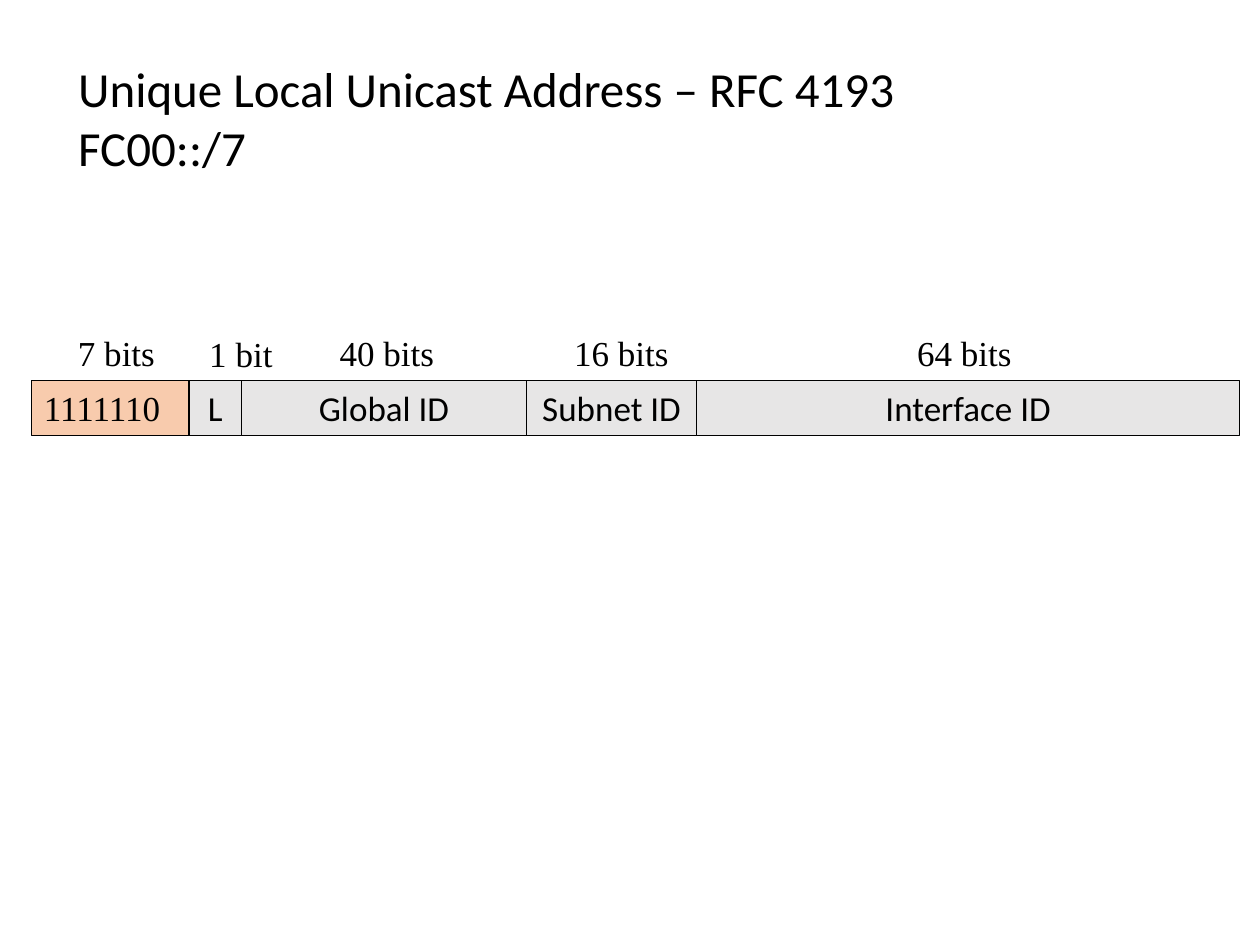
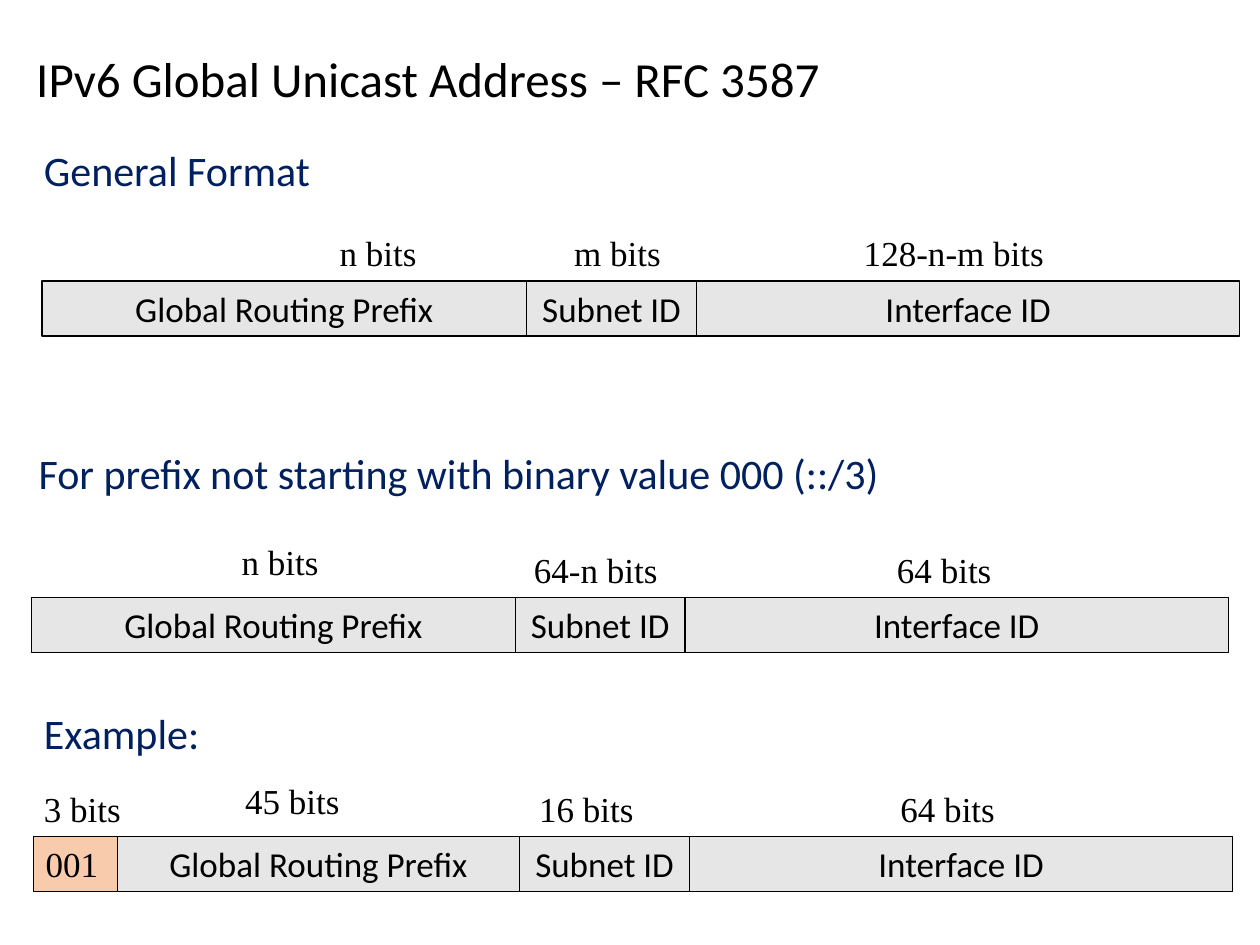
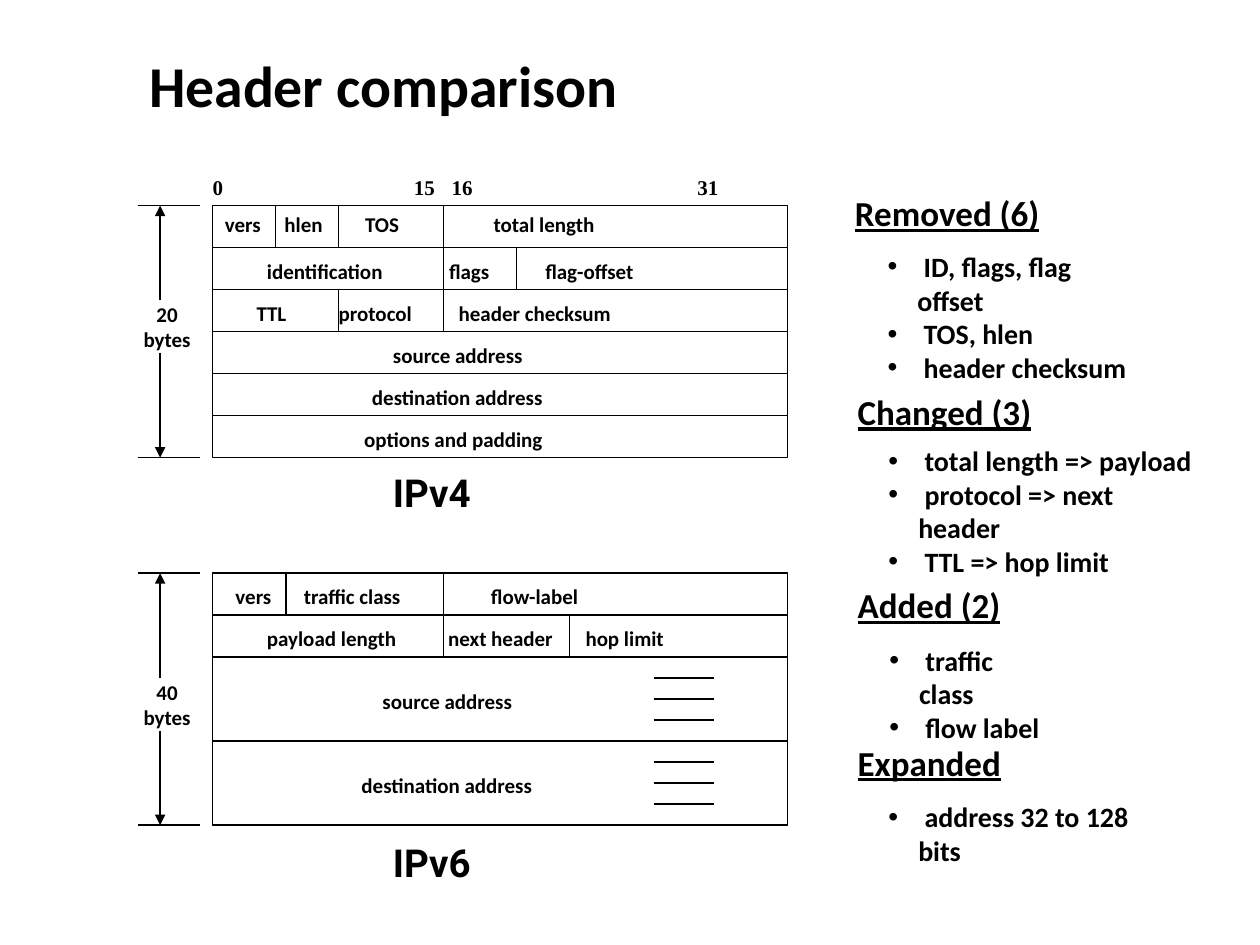
from lxml.etree import SubElement
from pptx import Presentation
from pptx.dml.color import RGBColor
from pptx.enum.shapes import MSO_CONNECTOR, MSO_SHAPE
from pptx.enum.text import MSO_ANCHOR, MSO_AUTO_SIZE, PP_ALIGN
from pptx.oxml.ns import qn
from pptx.util import Pt

BLACK, NAVY, GREY, PEACH = "000000", "002060", "E7E6E6", "F8CBAD"
SANS, SERIF, DISPLAY = "Calibri", "Times New Roman", "Roboto"
BAR_HEIGHT = 31.5
SUBNET, INTERFACE = ("Subnet ID", 97), ("Interface ID", 310.5)


def write(frame, lines, size, font=SANS, color=BLACK, bold=False, underline=False,
          align=PP_ALIGN.LEFT, anchor=MSO_ANCHOR.TOP):
    frame.word_wrap = True
    frame.auto_size = MSO_AUTO_SIZE.NONE
    frame.vertical_anchor = anchor
    for number, line in enumerate(lines):
        paragraph = frame.add_paragraph() if number else frame.paragraphs[0]
        paragraph.alignment = align
        paragraph.space_before = Pt(0)
        run = paragraph.add_run()
        run.text = line
        run.font.size = Pt(size)
        run.font.name = font
        run.font.bold = bold
        run.font.underline = underline
        run.font.color.rgb = RGBColor.from_string(color)


def place(shape, left, top, width, height):
    shape.left, shape.top, shape.width, shape.height = Pt(left), Pt(top), Pt(width), Pt(height)
    return shape.text_frame


deck = Presentation()
deck.slide_width, deck.slide_height = Pt(720), Pt(540)

address_slides = [
    {
        "title": ["Unique Local Unicast Address – RFC 4193", "FC00::/7"],
        "title_box": (37.5, 30, 592.5, 75),
        "headings": [],
        "bars": [(18, 217.5, [("1111110", 90), ("L", 30), ("Global ID", 163), SUBNET, INTERFACE])],
        "bits": [("7 bits", 37.5, 186), ("1 bit", 112.5, 186.5), ("40 bits", 187, 186),
                 ("16 bits", 321, 186), ("64 bits", 517, 186)],
    },
    {
        "title": ["IPv6 Global Unicast Address – RFC 3587"],
        "title_box": (13.5, 24, 592.5, 41),
        "headings": [("General Format", 18, 79),
                     ("For prefix not starting with binary value 000 (::/3)", 15, 252),
                     ("Example:", 18, 401)],
        "bars": [(24, 160.5, [("Global Routing Prefix", 277), SUBNET, INTERFACE]),
                 (18, 341.5, [("Global Routing Prefix", 276.5), SUBNET, INTERFACE]),
                 (19, 478, [("001", 48), ("Global Routing Prefix", 230), SUBNET, INTERFACE])],
        "bits": [("n bits", 187, 129), ("m bits", 321, 129), ("128-n-m bits", 486.5, 129),
                 ("n bits", 131, 305.5), ("64-n bits", 298, 310), ("64 bits", 505.5, 310),
                 ("3 bits", 18, 446.5), ("45 bits", 133, 442), ("16 bits", 301, 446.5),
                 ("64 bits", 507.5, 446.5)],
    },
]

for content in address_slides:
    slide = deck.slides.add_slide(deck.slide_layouts[5])
    write(place(slide.shapes.title, *content["title_box"]), content["title"], 28)
    for heading, left, top in content["headings"]:
        box = slide.shapes.add_textbox(Pt(left), Pt(top), Pt(500), Pt(36))
        write(box.text_frame, [heading], 24, color=NAVY)
    for left, top, fields in content["bars"]:
        for name, width in fields:
            fixed = name.isdigit()
            field = slide.shapes.add_shape(
                MSO_SHAPE.RECTANGLE, Pt(left), Pt(top), Pt(width), Pt(BAR_HEIGHT))
            field.shadow.inherit = False
            field.fill.solid()
            field.fill.fore_color.rgb = RGBColor.from_string(PEACH if fixed else GREY)
            field.line.color.rgb = RGBColor.from_string(BLACK)
            field.line.width = Pt(0.75)
            write(field.text_frame, [name], 20, SERIF if fixed else SANS,
                  align=PP_ALIGN.LEFT if fixed else PP_ALIGN.CENTER)
            left += width
    for count, left, top in content["bits"]:
        box = slide.shapes.add_textbox(Pt(left), Pt(top), Pt(130), Pt(BAR_HEIGHT))
        write(box.text_frame, [count], 20, SERIF)

slide = deck.slides.add_slide(deck.slide_layouts[4])
title = place(slide.shapes.title, 78, 24, 576, 54)
write(title, ["Header comparison"], 33, bold=True, anchor=MSO_ANCHOR.MIDDLE)
title.paragraphs[0].line_spacing = 0.9

TABLE_LEFT, TABLE_RIGHT, TABLE_HEIGHT, ROW = 121.5, 450, 144, 24
headers = [
    {
        "name": "IPv4", "top": 117.5, "size": "20", "gap": (54, 84), "name_offset": 147,
        "rows": [1, 2, 3, 4, 5],
        "dividers": [(157.5, 0, 1), (193.5, 0, 1), (253.5, 0, 3), (295, 1, 2), (193.5, 2, 3)],
        "dashes": [],
        "fields": [
            (0, [("vers", 121.5), ("hlen", 155.5), ("TOS", 201.5), ("total length", 275)]),
            (26.5, [("identification", 145.5), ("flags", 249.5), ("flag-offset", 304.5)]),
            (50.5, [("TTL", 139.5), ("protocol", 186.5), ("header checksum", 255)]),
            (74.5, [("source address", 217.5)]),
            (98.5, [("destination address", 205.5)]),
            (122.5, [("options and padding", 201)]),
        ],
    },
    {
        "name": "IPv6", "top": 327.5, "size": "40", "gap": (60, 90), "name_offset": 148.5,
        "rows": [1, 2, 4],
        "dividers": [(163.5, 0, 1), (253.5, 0, 2), (325.5, 1, 2)],
        "dashes": [2.5, 3, 3.5, 4.5, 5, 5.5],
        "fields": [
            (2.5, [("vers", 127.5), ("traffic class", 166.5), ("flow-label", 273.5)]),
            (26.5, [("payload length", 145.5), ("next header", 249), ("hop limit", 327.5)]),
            (62.5, [("source address", 211.5)]),
            (110.5, [("destination address", 199.5)]),
        ],
    },
]

for header in headers:
    top = header["top"]
    bottom = top + TABLE_HEIGHT
    frame = slide.shapes.add_shape(
        MSO_SHAPE.RECTANGLE, Pt(TABLE_LEFT), Pt(top),
        Pt(TABLE_RIGHT - TABLE_LEFT), Pt(TABLE_HEIGHT))
    frame.shadow.inherit = False
    frame.fill.background()
    frame.line.color.rgb = RGBColor.from_string(BLACK)
    frame.line.width = Pt(0.75)

    gap_top, gap_bottom = (top + offset for offset in header["gap"])
    strokes = [(TABLE_LEFT, top + row * ROW, TABLE_RIGHT, top + row * ROW, False)
               for row in header["rows"]]
    strokes += [(x, top + first * ROW, x, top + last * ROW, False)
                for x, first, last in header["dividers"]]
    strokes += [(373.5, top + row * ROW, 408, top + row * ROW, False)
                for row in header["dashes"]]
    strokes += [(79, y, 114.5, y, False) for y in (top, bottom)]
    strokes += [(91.5, gap_top, 91.5, top, True), (91.5, gap_bottom, 91.5, bottom, True)]
    for x1, y1, x2, y2, arrow in strokes:
        stroke = slide.shapes.add_connector(
            MSO_CONNECTOR.STRAIGHT, Pt(x1), Pt(y1), Pt(x2), Pt(y2))
        stroke.line.color.rgb = RGBColor.from_string(BLACK)
        stroke.line.width = Pt(1 if arrow else 0.75)
        if arrow:
            SubElement(stroke.line._get_or_add_ln(), qn("a:tailEnd"), type="triangle")
        SubElement(stroke._element.spPr, qn("a:effectLst"))

    size = slide.shapes.add_textbox(Pt(67.5), Pt(gap_top), Pt(56), Pt(gap_bottom - gap_top))
    write(size.text_frame, [header["size"], "bytes"], 12, bold=True,
          align=PP_ALIGN.CENTER, anchor=MSO_ANCHOR.MIDDLE)
    version = slide.shapes.add_textbox(
        Pt(217.5), Pt(top + header["name_offset"]), Pt(77), Pt(34))
    write(version.text_frame, [header["name"]], 22, DISPLAY, bold=True)
    for offset, fields in header["fields"]:
        for name, left in fields:
            field = slide.shapes.add_textbox(
                Pt(left), Pt(top + offset), Pt(16 + 7 * len(name)), Pt(21.5))
            write(field.text_frame, [name], 12, bold=True)

for bit, left in [("0", 114.5), ("15", 229.5), ("16", 251), ("31", 391.5)]:
    box = slide.shapes.add_textbox(Pt(left), Pt(96), Pt(31), Pt(21.5))
    write(box.text_frame, [bit], 12, SERIF, bold=True)

changes = [
    ("Removed (6)", 481.5, 106, (500, 139, 156, 66),
     [" ID, flags, flag offset", " TOS, hlen", " header checksum"]),
    ("Changed (3)", 483, 219.5, (500.5, 250, 190, 66),
     [" total length => payload", " protocol => next header", " TTL => hop limit"]),
    ("Added (2)", 483, 330, (501, 364, 103.5, 46), [" traffic class", " flow label"]),
    ("Expanded", 483, 420, (500.5, 453.5, 172, 46), [" address 32 to 128 bits"]),
]
bodies = list(slide.placeholders)[1:5]
for (heading, left, top, list_box, items), body in zip(changes, bodies):
    box = slide.shapes.add_textbox(Pt(left), Pt(top), Pt(130), Pt(31.5))
    write(box.text_frame, [heading], 20, bold=True, underline=True)
    listing = place(body, *list_box)
    write(listing, items, 16, bold=True)
    for paragraph in listing.paragraphs:
        properties = paragraph._p.get_or_add_pPr()
        properties.set("marL", str(Pt(17)))
        properties.set("indent", str(-Pt(17)))
        SubElement(properties, qn("a:buFont"), typeface="Arial")
        SubElement(properties, qn("a:buChar"), char="•")

deck.save("out.pptx")
